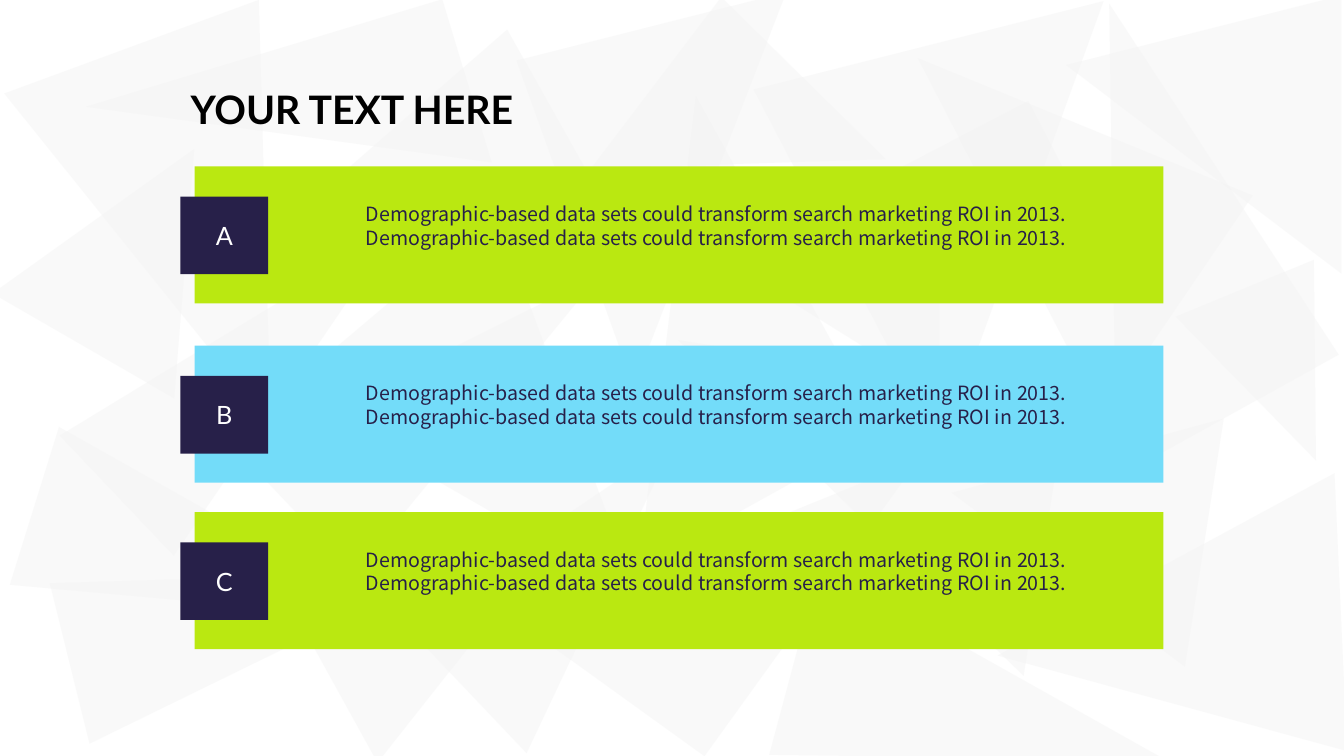
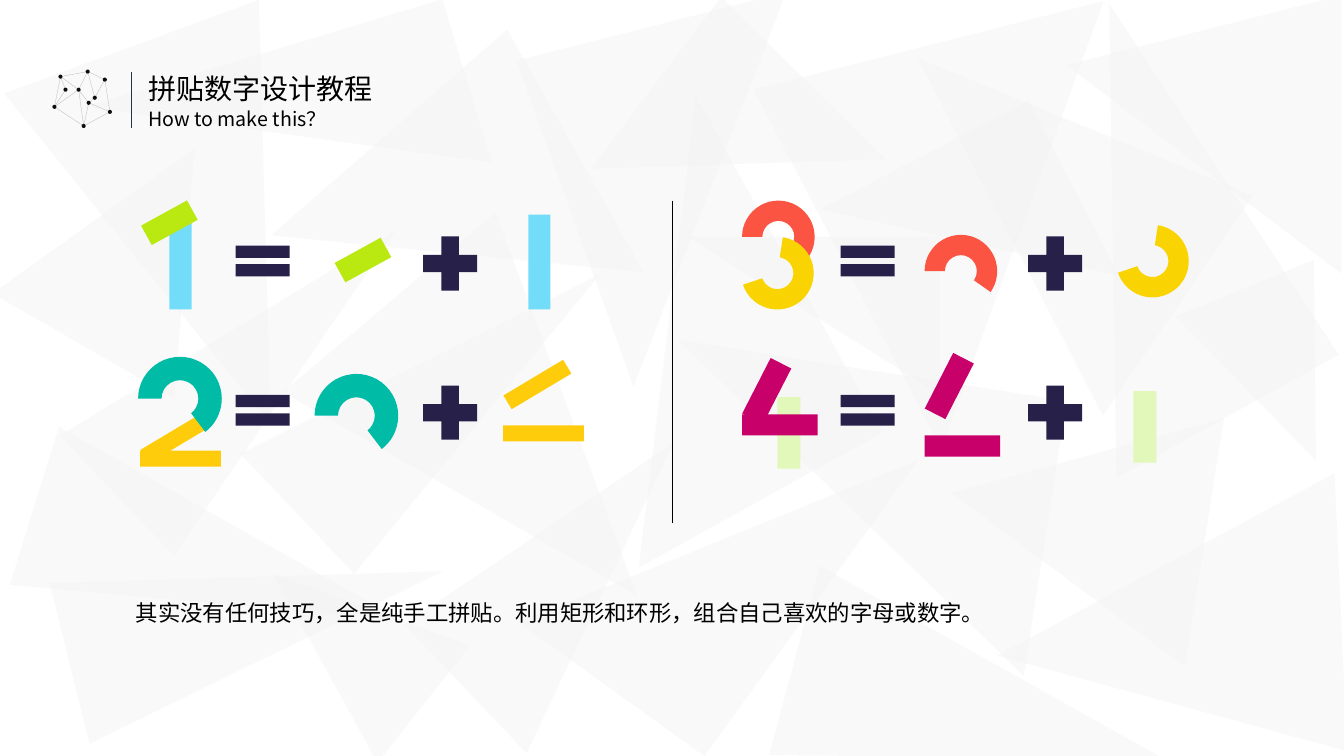
import pptx
import pptx.util
import pptx.dml.color
import pptx.enum.shapes
import pptx.enum.text
import pptx.oxml
import pptx.oxml.ns
from lxml import etree

RGB = pptx.dml.color.RGBColor
KIND = pptx.enum.shapes.MSO_SHAPE
LINE = pptx.enum.shapes.MSO_CONNECTOR.STRAIGHT
ALIGN = pptx.enum.text.PP_ALIGN
MID = pptx.enum.text.MSO_ANCHOR.MIDDLE
inch, Pt = pptx.util.Inches, pptx.util.Pt
qn = pptx.oxml.ns.qn

LATO, NOTO = "Lato", "Noto Sans CJK SC"
BLACK, WHITE = RGB(0, 0, 0), RGB(255, 255, 255)
PALE, NAVY = RGB(0xF2, 0xF2, 0xF2), RGB(0x27, 0x20, 0x49)
LIME, SKY = RGB(0xBA, 0xE8, 0x11), RGB(0x73, 0xDC, 0xF9)
GOLD, TEAL = RGB(0xFF, 0xCC, 0x0B), RGB(0x00, 0xBB, 0xA6)
CORAL, SUN = RGB(0xFB, 0x54, 0x42), RGB(0xFA, 0xD3, 0x02)
MINT, PINK = RGB(0xE2, 0xF8, 0xBB), RGB(0xC8, 0x00, 0x6A)
GREY, INK, SLATE = RGB(0xBF, 0xBF, 0xBF), RGB(0x0D, 0x0D, 0x0D), RGB(0x1B, 0x3A, 0x49)

# Backdrop triangles: left, top, width, height, turn, apex
SHARDS = [
    (1.34, 3.68, 1.64, 3.81, 107.3, .5), (1.72, 4.22, 1.64, 3.81, 76.1, .5),
    (.65, .34, 2.69, 4, 159.8, .5), (1.72, 1.7, 1.64, 3.81, 46.5, .5),
    (4.89, 4.15, 1.76, 3.18, 46.5, .3), (3.71, 2.55, 2.76, 3.81, 139.8, .5),
    (9.44, 3.91, 2.49, 2.55, 278.9, .54), (7.06, 3.09, 2.76, 3.9, 278.9, 1),
    (5.99, 3.56, 2.27, 3.62, 35.8, 1), (9.91, .24, 2.52, 4.15, 331, .88),
    (5.24, 1.39, 2.76, 3.81, 331, 1), (6.08, .47, 2.29, 2.12, 224.6, .88),
    (7.9, .39, 3.58, 3.91, 165.8, .74), (5.5, .21, 2.76, 3.42, 165.8, .88),
    (3, .72, 2.76, 3.04, 240.7, .77), (10.21, 4.44, 2.76, 3.42, 267.4, .4),
    (7.29, 1.88, 1.56, 2.5, 270, 1), (-.35, 1.7, 2.48, 1.88, 274.6, .36),
    (2.02, -.51, 1.69, 3.69, 253.2, 1), (10.56, -.03, 2.76, 2.73, 270, .75),
    (3.51, 1.88, 1.64, 3.81, 46.5, .71), (8.75, 5.14, 1.94, 3.81, 105, .5),
    (11.96, 2.79, 1.48, 1.85, 157.6, .5), (2.69, 5.39, 1.48, 1.97, 308.3, .56),
    (8.91, .29, 2.64, 3.51, 304.2, .72), (8.46, 1.43, 2.32, 1.95, 152.5, 0),
]

# Slide 1: letter, top, fill
HEAD = "YOUR TEXT HERE"
CLAIM = "Demographic-based data sets could transform search marketing ROI in 2013. "
BANDS = [("A", 1.65, LIME), ("B", 3.43, SKY), ("C", 5.08, LIME)]

# Slide 2
NAME, ASK = "拼贴数字设计教程", "How to make this？"
NOTE = "其实没有任何技巧，全是纯手工拼贴。利用矩形和环形，组合自己喜欢的字母或数字。"
DOTS = [(.83, 1.25), (.88, 1.02), (1.09, 1.11), (.94, .97), (1.04, .79),
        (.87, .71), (.78, .89), (.6, .76), (.65, .89), (.54, 1.06)]
LINKS = [(2, 4), (0, 2), (9, 0), (7, 5), (5, 4), (9, 7), (4, 3), (1, 0), (3, 1),
         (6, 0), (6, 9), (7, 8), (7, 6), (5, 6), (5, 3), (6, 1), (8, 9), (2, 1)]
RECT, ARC = KIND.RECTANGLE, KIND.BLOCK_ARC
WIDE, SHORT, HOOK = (108, 31.61, .28), (108, 21.07, .28), (101.94, 31.61, .28)
# Digit pieces: kind, size, turn, fill, adjustments, place in digit, place alone
PIECES = [
    (RECT, (.22, .94), 0, SKY, (), (1.68, 2.13), (5.24, 2.13)),
    (RECT, (.52, .22), 331.2, LIME, (), (1.42, 2.1), (3.34, 2.47)),
    (RECT, (.16, .69), 59.1, GOLD, (), (1.65, 4.01), (5.25, 3.47)),
    (ARC, (.83, .83), 0, TEAL, WIDE, (1.37, 3.54), (3.12, 3.71)),
    (RECT, (.16, .8), 90, GOLD, (), (1.71, 4.15), (5.31, 3.9)),
    (ARC, (.72, .72), 0, CORAL, SHORT, (7.36, 1.99), (9.17, 2.33)),
    (ARC, (.72, .72), 108.7, SUN, HOOK, (7.35, 2.35), (11.07, 2.23)),
    (RECT, (.23, .71), 0, MINT, (), (7.71, 3.94), (11.24, 3.88)),
    (RECT, (.23, .62), 27.1, PINK, (), (7.49, 3.57), (9.3, 3.52)),
    (RECT, (.21, .75), 90, PINK, (), (7.63, 3.84), (9.44, 4.05)),
]
SIGNS = [(KIND.MATH_EQUAL, 2.24, 2.33, .73, .52), (KIND.MATH_PLUS, 4.1, 2.25, .73, .73)]
COLS, ROWS = (0, 6), (0, 1.48)


def form(page, kind, x, y, w, h, fill, turn=0, adj=()):
    part = page.shapes.add_shape(kind, inch(x), inch(y), inch(w), inch(h))
    part.shadow.inherit = False
    part.fill.solid()
    part.fill.fore_color.rgb = fill
    part.line.fill.background()
    part.rotation = turn
    for i, val in enumerate(adj):
        part.adjustments[i] = val
    return part


def rule(page, start, end, tint, width):
    line = page.shapes.add_connector(LINE, *map(inch, start + end))
    line.line.color.rgb = tint
    line.line.width = Pt(width)
    props = line.element.find(qn("p:spPr"))
    etree.SubElement(props, qn("a:effectLst"))


def style(frame, text, size, face, tint, align=ALIGN.LEFT, space=None, bold=False):
    frame.text = text
    para = frame.paragraphs[0]
    para.alignment = align
    para.line_spacing = space
    run = para.runs[0]
    run.font.size, run.font.name, run.font.bold = Pt(size), face, bold
    run.font.color.rgb = tint
    latin = run.font._element.find(qn("a:latin"))
    east = etree.Element(qn("a:ea"), typeface=NOTO)
    latin.addnext(east)


def label(page, x, y, w, h, *look, wrap=False, **more):
    frame = page.shapes.add_textbox(inch(x), inch(y), inch(w), inch(h)).text_frame
    frame.word_wrap = wrap
    style(frame, *look, **more)


def scatter(page, layout):
    """Draw the backdrop and hand it to the layout that both slides use."""
    for x, y, w, h, turn, apex in SHARDS:
        part = form(page, KIND.ISOSCELES_TRIANGLE, x, y, w, h, PALE, turn, (apex,))
        tone = part.element.find(".//" + qn("a:srgbClr"))
        etree.SubElement(tone, qn("a:alpha"), val="42000")
        layout.shapes.element.append(part.element)


def bands(page):
    for mark, top, fill in BANDS:
        form(page, RECT, 1.93, top, 9.61, 1.36, fill)
        tile = form(page, RECT, 1.79, top + .3, .87, .77, NAVY)
        tile.text_frame.vertical_anchor = MID
        style(tile.text_frame, mark, 18, LATO, WHITE, ALIGN.CENTER)
        label(page, 3.53, top + .3, 7.15, .81, CLAIM * 2, 14, NOTO, NAVY,
              ALIGN.JUSTIFY, Pt(17), wrap=True)
    label(page, 1.79, .8, 3.4, .57, HEAD, 28, LATO, BLACK, ALIGN.CENTER, bold=True)


def digits(page):
    # Heading with its net of dots
    for a, b in LINKS:
        rule(page, DOTS[a], DOTS[b], GREY, .25)
    for x, y in DOTS:
        form(page, KIND.OVAL, x - .02, y - .02, .04, .04, INK)
    rule(page, (1.3, .71), (1.3, 1.27), SLATE, .5)
    label(page, 1.37, .66, 2.45, .44, NAME, 20, NOTO, BLACK, space=Pt(24))
    label(page, 1.37, 1.01, 2.05, .34, ASK, 14, NOTO, BLACK, space=Pt(17))
    # Sums: whole digit = piece + piece
    for kind, size, turn, fill, adj, *spots in PIECES:
        for spot in spots:
            form(page, kind, *spot, *size, fill, turn, adj)
    for dx in COLS:
        for dy in ROWS:
            for kind, x, y, w, h in SIGNS:
                form(page, kind, x + dx, y + dy, w, h, NAVY)
    rule(page, (6.67, 1.99), (6.67, 5.19), BLACK, .5)
    label(page, 1.25, 5.76, 9.2, .5, NOTE, 16, LATO, BLACK, ALIGN.JUSTIFY, 1.5, wrap=True)


def main():
    deck = pptx.Presentation()
    deck.slide_width, deck.slide_height = inch(13.33), inch(7.5)
    blank = deck.slide_layouts[6]
    for hold in list(blank.placeholders):
        blank.shapes.element.remove(hold.element)
    first = deck.slides.add_slide(blank)
    scatter(first, blank)
    bands(first)
    digits(deck.slides.add_slide(blank))
    deck.save("out.pptx")


if __name__ == "__main__":
    main()
